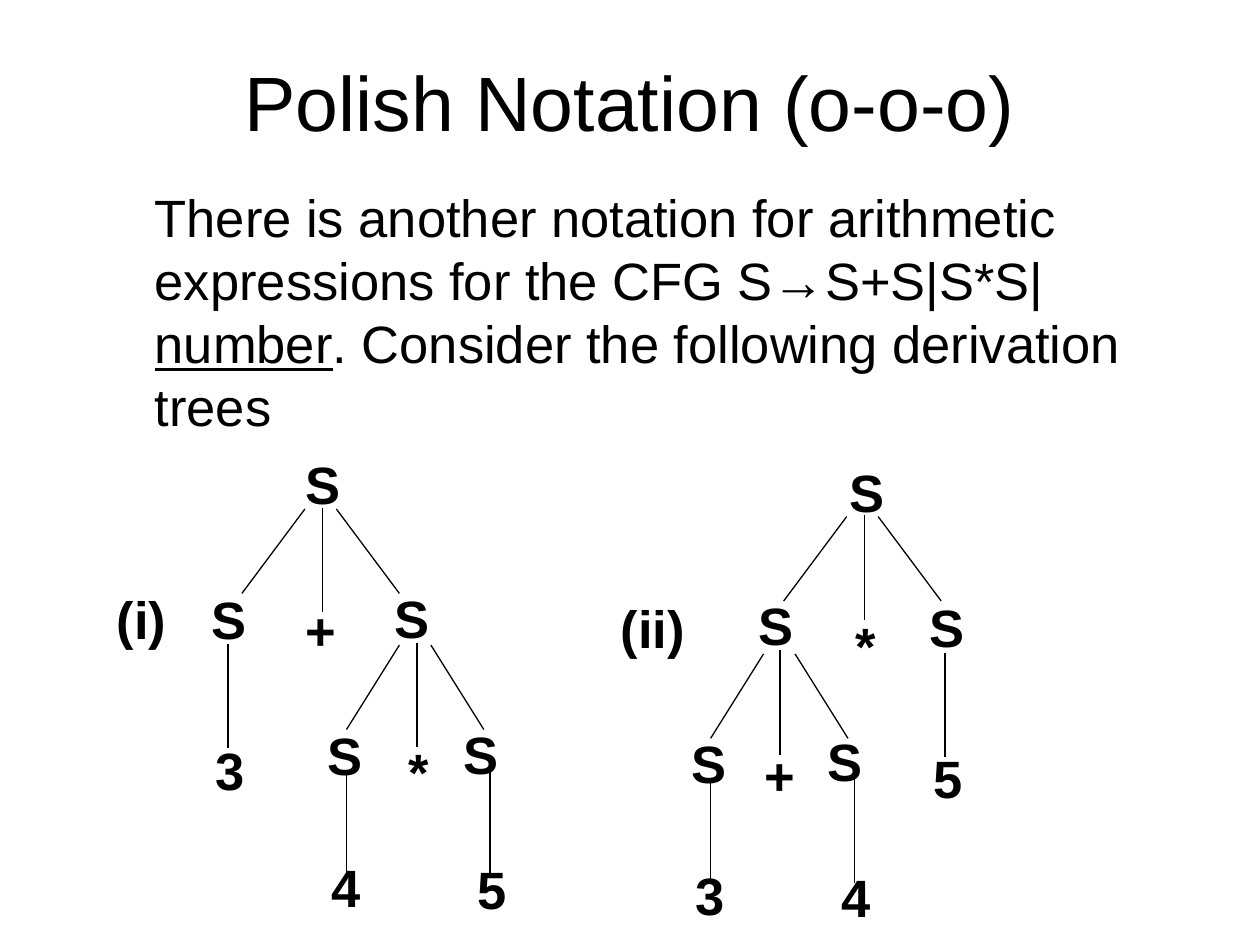
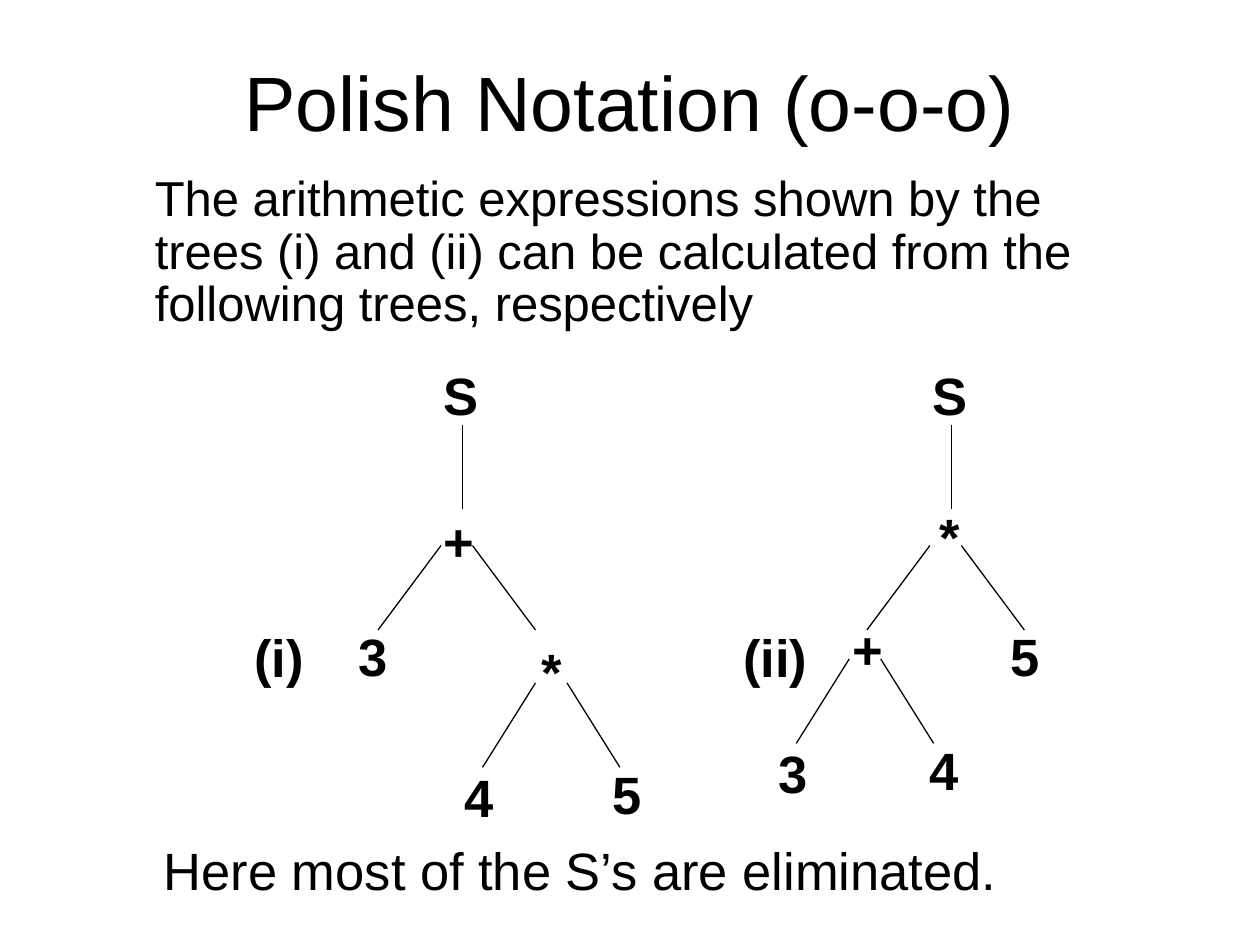
from lxml import etree
from pptx import Presentation
from pptx.dml.color import RGBColor
from pptx.enum.shapes import MSO_CONNECTOR
from pptx.enum.text import MSO_ANCHOR, PP_ALIGN
from pptx.oxml.ns import qn
from pptx.util import Emu, Pt

STRAIGHT = MSO_CONNECTOR.STRAIGHT
TOP, MIDDLE = MSO_ANCHOR.TOP, MSO_ANCHOR.MIDDLE
LEFT, CENTER = PP_ALIGN.LEFT, PP_ALIGN.CENTER

FONT = "Arial"
INK = "000000"
PAPER = "FFFFFF"
TITLE = "Polish Notation (o-o-o)"
TITLE_BOX = (75, 17, 850, 125)
BRANCH_DROP = 67
BRANCH_GAP = 25
LONG_STEM = 83
SHORT_STEM = 67

PARSE_SUM = dict(
    nodes=[("(i)", 0, 107), ("S", 150, 0), ("S", 75, 107), ("+", 150, 116),
           ("S", 220, 106), ("3", 78, 227), ("S", 167, 215), ("*", 231, 228),
           ("S", 275, 214), ("4", 170, 320), ("5", 286, 321)],
    forks=[(159, 50, 50), (234, 158, 42)],
    stems=[(173, 49), (98, 157), (248, 156), (192, 258), (306, 257)],
    stem=LONG_STEM)
PARSE_PRODUCT = dict(
    nodes=[("(ii)", 0, 108), ("S", 181, 0), ("S", 109, 106), ("*", 186, 122),
           ("S", 245, 107), ("5", 248, 227), ("S", 56, 215), ("+", 114, 225),
           ("S", 164, 214), ("3", 59, 320), ("4", 175, 322)],
    forks=[(189, 50, 50), (123, 159, 42)],
    stems=[(203, 49), (267, 158), (136, 156), (81, 259), (195, 258)],
    stem=LONG_STEM)
SHORT_SUM = dict(
    nodes=[("(i)", 0, 208), ("S", 150, 0), ("+", 150, 116), ("3", 83, 207),
           ("*", 228, 219), ("4", 167, 319), ("5", 284, 317)],
    forks=[(158, 150, 50), (233, 259, 42)],
    stems=[(175, 54)],
    stem=SHORT_STEM)
SHORT_PRODUCT = dict(
    nodes=[("(ii)", 0, 208), ("S", 150, 0), ("*", 156, 112), ("+", 87, 202),
           ("5", 212, 207), ("3", 28, 300), ("4", 148, 298)],
    forks=[(158, 150, 50), (94, 240, 42)],
    stems=[(175, 54)],
    stem=SHORT_STEM)


def px(n):
    return Emu(n * 9144)


def rgb(color):
    return RGBColor.from_string(color)


def add_text(shapes, box, texts, size=30, bold=None, align=LEFT, anchor=TOP,
             spacing=None):
    sp = shapes.add_textbox(*map(px, box))
    tf = sp.text_frame
    tf.word_wrap = True
    tf.vertical_anchor = anchor
    p = tf.paragraphs[0]
    p.alignment = align
    if spacing:
        p.line_spacing = spacing
    for text in texts:
        r = p.add_run()
        r.text = text
        r.font.name = FONT
        r.font.size = Pt(size)
        r.font.bold = bold
        r.font.color.rgb = rgb(INK)
    return p


def add_line(shapes, x1, y1, x2, y2):
    line = shapes.add_connector(STRAIGHT, px(x1), px(y1), px(x2), px(y2))
    line.line.color.rgb = rgb(INK)
    line.line.width = Pt(0.75)
    etree.SubElement(line._element.spPr, qn("a:effectLst"))


def add_tree(s, left, top, nodes, forks, stems, stem):
    shapes = s.shapes.add_group_shape().shapes
    for x, y, spread in forks:
        x, y = left + x, top + y
        right = x + BRANCH_GAP
        add_line(shapes, x, y, x - spread, y + BRANCH_DROP)
        add_line(shapes, right, y, right + spread, y + BRANCH_DROP)
    for x, y in stems:
        add_line(shapes, left + x, top + y, left + x, top + y + stem)
    for label, x, y in nodes:
        width = 92 if label in "S+*" else 133
        add_text(shapes, (left + x, top + y, width, 60), [label], bold=True)


def add_titled_slide(prs):
    s = prs.slides.add_slide(prs.slide_layouts[6])
    s.background.fill.solid()
    s.background.fill.fore_color.rgb = rgb(PAPER)
    add_text(s.shapes, TITLE_BOX, [TITLE], size=44, align=CENTER, anchor=MIDDLE)
    return s


def add_derivation_slide(prs):
    s = add_titled_slide(prs)
    p = add_text(s.shapes, (113, 142, 812, 210), [
        "There is another notation for arithmetic expressions for the CFG "
        "S→S+S|S*S|", "number", ". Consider the following derivation trees"])
    p.runs[1].font.underline = True
    add_tree(s, 83, 354, **PARSE_SUM)
    add_tree(s, 483, 360, **PARSE_PRODUCT)


def add_reduced_slide(prs):
    s = add_titled_slide(prs)
    add_text(s.shapes, (113, 133, 812, 140), [
        "The arithmetic expressions shown by the trees (i) and (ii) can be "
        "calculated from the following trees, respectively"],
        size=28, spacing=0.9)
    add_tree(s, 192, 283, **SHORT_SUM)
    add_tree(s, 580, 283, **SHORT_PRODUCT)
    add_text(s.shapes, (120, 660, 805, 60),
             ["Here most of the S’s are eliminated."])


def main():
    prs = Presentation()
    prs.slide_width, prs.slide_height = px(1000), px(750)
    add_derivation_slide(prs)
    add_reduced_slide(prs)
    prs.save("out.pptx")


if __name__ == "__main__":
    main()
